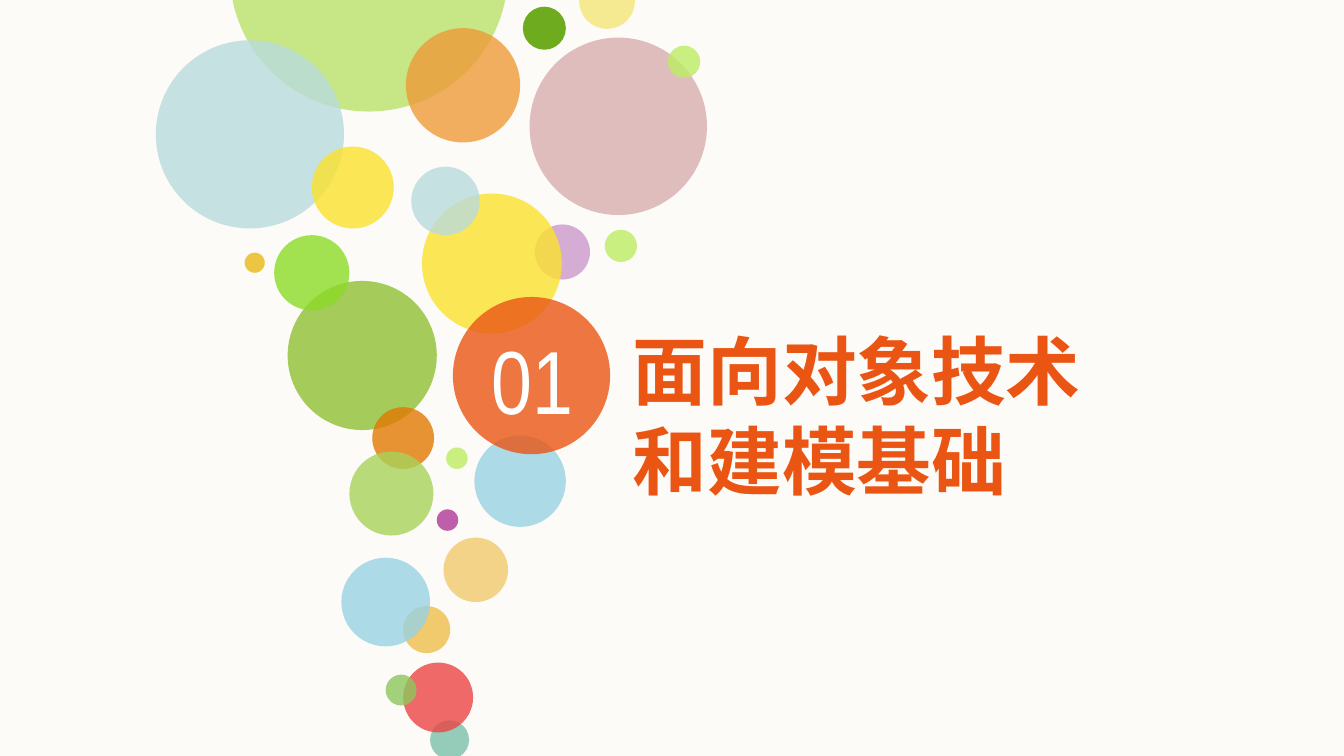
from pptx import Presentation
from pptx.dml.color import RGBColor
from pptx.enum.shapes import MSO_SHAPE
from pptx.enum.text import MSO_AUTO_SIZE, PP_ALIGN
from pptx.oxml.ns import qn
from pptx.util import Inches, Pt
from lxml.etree import SubElement

CELL = Inches(0.1)
BACKGROUND = RGBColor(0xFC, 0xFB, 0xF7)
WHITE = RGBColor(0xFF, 0xFF, 0xFF)
ORANGE = RGBColor(0xEA, 0x55, 0x14)
AMBER = RGBColor(0xED, 0x9B, 0x38)
RUST = RGBColor(0xE2, 0x79, 0x02)
RED = RGBColor(0xEB, 0x45, 0x44)
ROSE = RGBColor(0xD8, 0xAE, 0xAF)
YELLOW = RGBColor(0xFB, 0xE2, 0x2D)
CREAM = RGBColor(0xF5, 0xEA, 0x91)
GOLD = RGBColor(0xE9, 0xB9, 0x15)
SAND = RGBColor(0xF0, 0xCA, 0x6C)
MAGENTA = RGBColor(0xB0, 0x38, 0x96)
LILAC = RGBColor(0xCB, 0x99, 0xCC)
MIST = RGBColor(0xB9, 0xDB, 0xDD)
SKY = RGBColor(0x98, 0xD2, 0xE3)
TEAL = RGBColor(0x7B, 0xBF, 0xAA)
PISTACHIO = RGBColor(0xBA, 0xE3, 0x6B)
FOREST = RGBColor(0x6E, 0xAB, 0x1F)
OLIVE = RGBColor(0xA5, 0xCB, 0x5A)
LIME = RGBColor(0xBD, 0xED, 0x63)
GRASS = RGBColor(0x8C, 0xDB, 0x27)
FERN = RGBColor(0x8D, 0xC6, 0x5B)
MOSS = RGBColor(0xA9, 0xD2, 0x5A)

SHEER, SOLID = 80, 100

# column, row, diameter, colour, opacity
BUBBLES = [
    (7.1, -12.4, 20.7, PISTACHIO, SHEER),
    (28.9, 0.5, 3.2, FOREST, SOLID),
    (1.6, 3, 14, MIST, SHEER),
    (20.2, 2.1, 8.5, AMBER, SHEER),
    (33.1, -2, 4.15, CREAM, SOLID),
    (29.4, 2.8, 13.2, ROSE, SHEER),
    (11.4, 20.9, 11.1, OLIVE, SOLID),
    (39.7, 3.4, 2.4, LIME, SHEER),
    (35, 17.1, 2.4, LIME, SHEER),
    (29.8, 16.7, 4.1, LILAC, SHEER),
    (21.4, 14.4, 10.4, YELLOW, SHEER),
    (13.2, 10.9, 6.1, YELLOW, SHEER),
    (10.4, 17.5, 5.6, GRASS, SHEER),
    (8.2, 18.8, 1.5, GOLD, SHEER),
    (23.2, 33.3, 1.6, LIME, SHEER),
    (22.5, 37.9, 1.6, MAGENTA, SHEER),
    (23, 40, 4.8, SAND, SHEER),
    (20, 45.1, 3.5, SAND, SOLID),
    (22, 53.6, 2.9, TEAL, SHEER),
    (20, 49.3, 5.2, RED, SHEER),
    (18.7, 50.2, 2.3, FERN, SHEER),
    (15.4, 41.5, 6.6, SKY, SHEER),
    (20.6, 12.4, 5.1, MIST, SHEER),
    (25.3, 32.4, 6.8, SKY, SHEER),
    (17.7, 30.3, 4.6, RUST, SHEER),
    (16, 33.6, 6.25, MOSS, SHEER),
]


def cells(*counts):
    return [round(count * CELL) for count in counts]


def add_circle(page, column, row, diameter, colour, opacity):
    circle = page.shapes.add_shape(
        MSO_SHAPE.OVAL, *cells(column, row, diameter, diameter))
    circle.shadow.inherit = False
    circle.line.fill.background()
    circle.fill.solid()
    circle.fill.fore_color.rgb = colour
    if opacity < SOLID:
        tint = circle._element.spPr.find(qn("a:solidFill"))[0]
        SubElement(tint, qn("a:alpha")).set("val", str(opacity * 1000))


def add_text(page, area, lines, font_name, size, colour, align, bold=False, spacing=None):
    box = page.shapes.add_textbox(*cells(*area))
    frame = box.text_frame
    frame.word_wrap = True
    frame.auto_size = MSO_AUTO_SIZE.SHAPE_TO_FIT_TEXT
    frame.margin_left = frame.margin_right = frame.margin_top = frame.margin_bottom = 0
    frame.text = "\n".join(lines)
    for para in frame.paragraphs:
        para.alignment = align
        para.line_spacing = spacing
        for span in para.runs:
            span.font.name = font_name
            span.font.size = Pt(size)
            span.font.bold = bold
            span.font.color.rgb = colour
            SubElement(span._r.get_or_add_rPr(), qn("a:ea")).set("typeface", font_name)


def add_bubble_column(page, area):
    left, top = area[:2]
    for column, row, diameter, colour, opacity in BUBBLES:
        add_circle(page, left + column, top + row, diameter, colour, opacity)


def add_number_badge(page, area, number):
    left, top, diameter = area[:3]
    add_circle(page, left, top, diameter, ORANGE, SHEER)
    add_text(page, (left + 1.9, top + 2.1, 8, 8.1), [number],
             "Arial Narrow", 48, WHITE, PP_ALIGN.CENTER)


def add_chapter_title(page, area, lines):
    add_text(page, area, lines, "Noto Sans CJK SC", 40, ORANGE,
             PP_ALIGN.JUSTIFY, bold=True, spacing=Pt(48))


def main():
    deck = Presentation()
    deck.slide_width = Inches(10)
    deck.slide_height = deck.slide_width * 9 // 16
    page = deck.slides.add_slide(deck.slide_layouts[6])
    page.background.fill.solid()
    page.background.fill.fore_color.rgb = BACKGROUND
    add_bubble_column(page, (10, 0, 43, 56.25))
    add_number_badge(page, (33.7, 22.1, 11.7, 11.7), "01")
    add_chapter_title(page, (47.1, 24.2, 40.7, 13.5), ["面向对象技术", "和建模基础"])
    deck.save("out.pptx")


if __name__ == "__main__":
    main()
